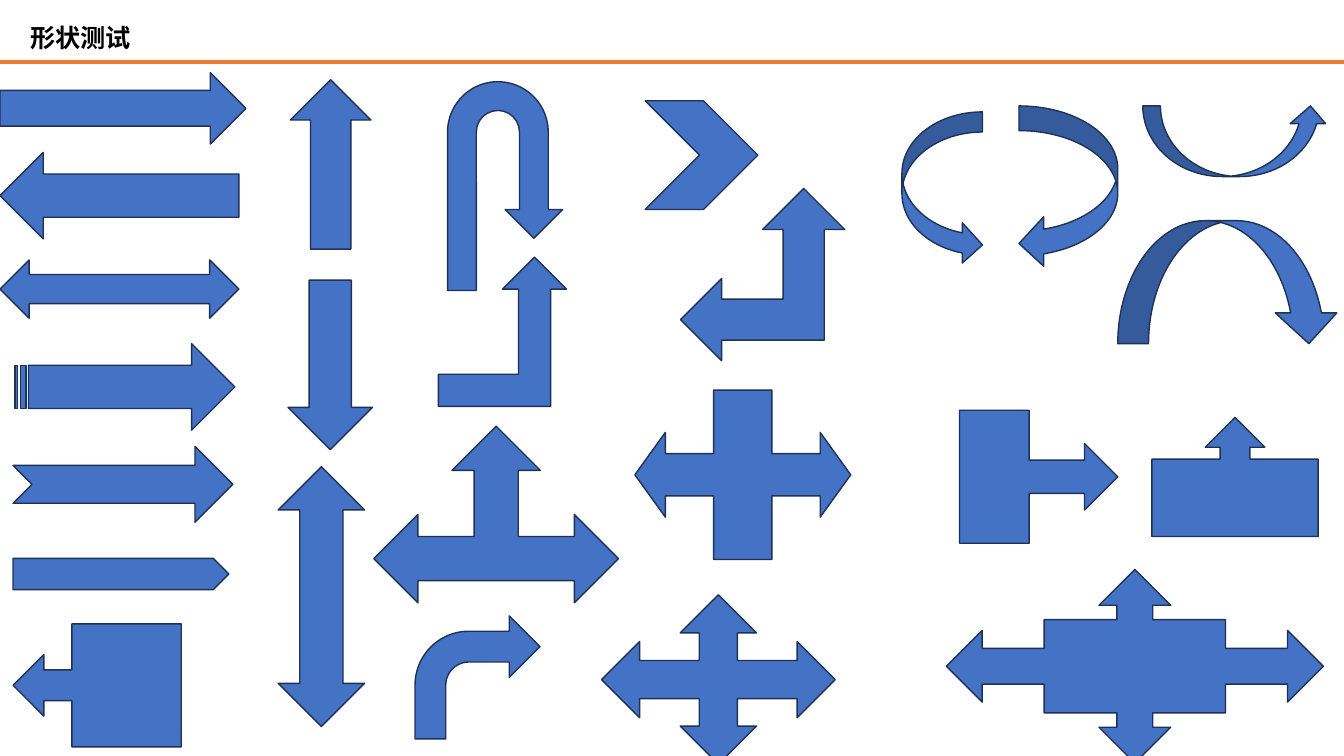
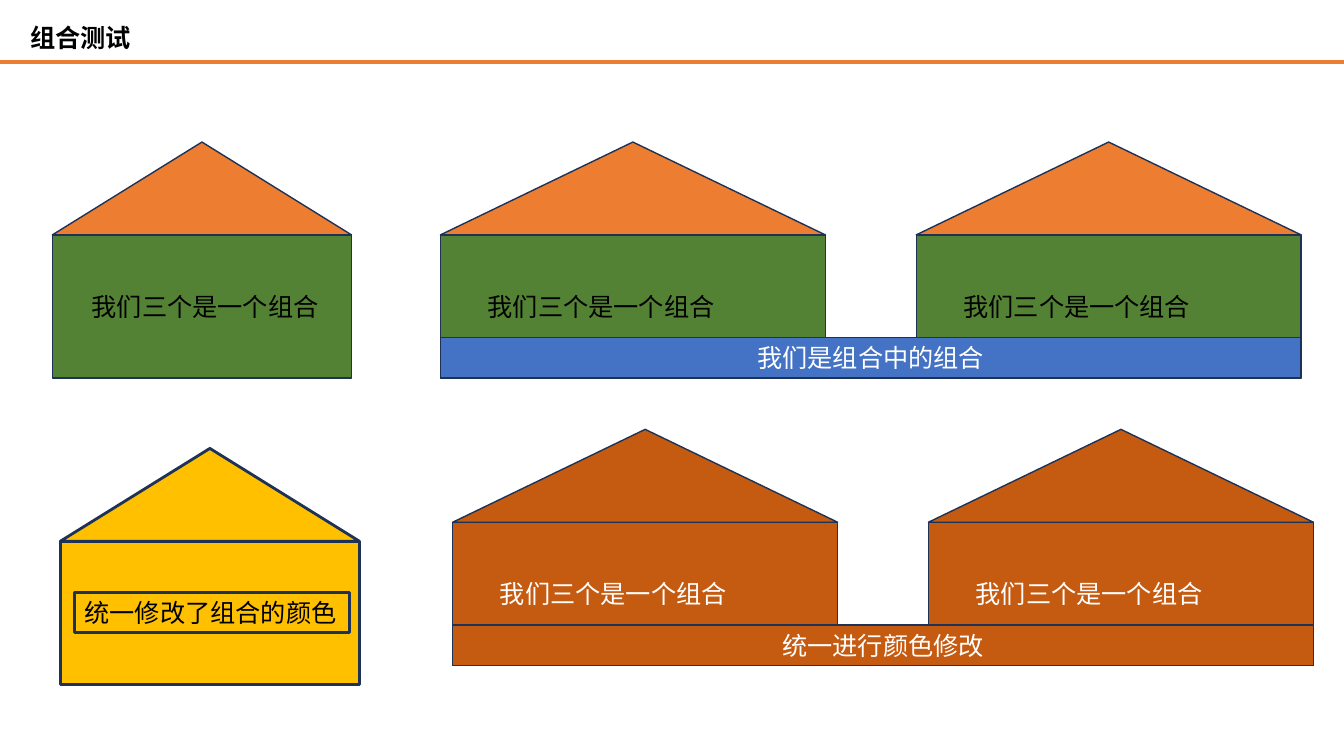
from lxml import etree
from pptx import Presentation
from pptx.dml.color import RGBColor
from pptx.enum.shapes import MSO_CONNECTOR, MSO_SHAPE as Shape
from pptx.enum.text import MSO_ANCHOR, MSO_AUTO_SIZE, PP_ALIGN
from pptx.oxml.ns import qn
from pptx.util import Cm, Pt

FONT = "Noto Sans CJK SC"
BLUE, NAVY, ORANGE = "4472C4", "1E3256", "ED7D31"
GREEN, GOLD, RUST = "548235", "FFC000", "C55A11"
BLACK, WHITE = "000000", "FFFFFF"
SLIDE_W, SLIDE_H = 33.87, 19.05

# House proportions
ROOF_H, WALL_H, LABEL_DROP, BAR_H = 2.34, 3.61, 3.63, 1.02
SMALL_W, LARGE_W, HOUSE_PITCH = 7.54, 9.7, 11.99

# Preset, left, top, width, height in centimetres
ARROWS = [
    (Shape.RIGHT_ARROW, 0, 1.83, 6.2, 1.8),
    (Shape.LEFT_ARROW, 0, 3.84, 6.02, 2.18),
    (Shape.UP_ARROW, 7.32, 2.01, 2.03, 4.27),
    (Shape.DOWN_ARROW, 7.26, 7.06, 2.13, 4.27),
    (Shape.LEFT_RIGHT_ARROW, 0, 6.55, 6.02, 1.47),
    (Shape.UP_DOWN_ARROW, 7.01, 11.76, 2.18, 6.55),
    (Shape.QUAD_ARROW, 15.16, 14.99, 5.89, 4.27),
    (Shape.LEFT_RIGHT_UP_ARROW, 9.42, 10.74, 6.17, 4.45),
    (Shape.BENT_ARROW, 10.46, 15.52, 3.15, 3.1),
    (Shape.U_TURN_ARROW, 11.28, 2.06, 2.9, 5.26),
    (Shape.LEFT_UP_ARROW, 17.15, 4.75, 4.14, 4.34),
    (Shape.BENT_UP_ARROW, 11.05, 6.48, 3.23, 3.76),
    (Shape.CURVED_RIGHT_ARROW, 22.73, 2.82, 2.03, 3.86),
    (Shape.CURVED_LEFT_ARROW, 25.68, 2.67, 2.49, 4.09),
    (Shape.CURVED_UP_ARROW, 28.8, 2.67, 4.67, 1.78),
    (Shape.CURVED_DOWN_ARROW, 28.17, 5.56, 5.59, 3.1),
    (Shape.STRIPED_RIGHT_ARROW, 0.38, 8.66, 5.54, 2.18),
    (Shape.NOTCHED_RIGHT_ARROW, 0.33, 11.25, 5.54, 1.91),
    (Shape.PENTAGON, 0.33, 14.07, 5.44, 0.79),
    (Shape.CHEVRON, 16.26, 2.54, 2.84, 2.74),
    (Shape.RIGHT_ARROW_CALLOUT, 24.18, 10.34, 3.99, 3.35),
    (Shape.LEFT_RIGHT_ARROW_CALLOUT, 16, 9.83, 5.44, 4.27),
    (Shape.QUAD_ARROW_CALLOUT, 23.85, 14.35, 9.5, 4.88),
    (Shape.LEFT_ARROW_CALLOUT, 0.33, 15.72, 4.24, 3.1),
    (Shape.UP_ARROW_CALLOUT, 29.03, 10.52, 4.19, 3),
]
ADJUSTMENTS = {
    Shape.RIGHT_ARROW_CALLOUT: (0.25, 0.25, 0.25, 0.44),
    Shape.LEFT_RIGHT_ARROW_CALLOUT: (0.25, 0.25, 0.18, 0.27),
}


def paint(target, color):
    """Give a fill or a font colour its hex value."""
    if hasattr(target, "solid"):
        target.solid()
        target = target.fore_color
    target.rgb = RGBColor.from_string(color)


def outline(shape, width):
    paint(shape.line.color, NAVY)
    shape.line.width = Pt(width)


def write(shape, text, color, align=PP_ALIGN.LEFT, bold=False):
    paragraph = shape.text_frame.paragraphs[0]
    paragraph.alignment = align
    run = paragraph.add_run()
    run.text = text
    run.font.name, run.font.size, run.font.bold = FONT, Pt(18), bold
    paint(run.font.color, color)
    east_asian = etree.SubElement(run.font._element, qn("a:ea"))
    east_asian.set("typeface", FONT)


def hug_text(shape):
    frame = shape.text_frame
    frame.word_wrap = False
    frame.auto_size = MSO_AUTO_SIZE.SHAPE_TO_FIT_TEXT
    frame.vertical_anchor = MSO_ANCHOR.TOP


def add_block(shapes, preset, left, top, width, height, fill, line_width=1):
    block = shapes.add_shape(preset, Cm(left), Cm(top), Cm(width), Cm(height))
    block.shadow.inherit = False
    paint(block.fill, fill)
    outline(block, line_width)
    return block


def add_titled_slide(deck, heading):
    """Slide with the shared title and the orange rule below it."""
    slide = deck.slides.add_slide(deck.slide_layouts[5])
    title = slide.shapes.title
    title.left, title.top, title.width, title.height = Cm(0.51), Cm(0.43), Cm(3.07), Cm(1.02)
    hug_text(title)
    write(title, heading, BLACK, bold=True)

    rule = slide.shapes.add_connector(
        MSO_CONNECTOR.STRAIGHT, 0, Cm(1.57), Cm(SLIDE_W), Cm(1.57))
    paint(rule.line.color, ORANGE)
    rule.line.width = Pt(3)
    etree.SubElement(rule._element.spPr, qn("a:effectLst"))
    return slide


def add_house(shapes, left, top, width, roof, wall, text, text_color,
              label_inset, label_width, label_fill=None, line_width=1, label_line=None):
    """Grouped wall, roof and label, placed from the top left corner."""
    house = shapes.add_group_shape().shapes
    add_block(house, Shape.RECTANGLE, left, top + ROOF_H, width, WALL_H, wall, line_width)
    add_block(house, Shape.ISOSCELES_TRIANGLE, left, top, width, ROOF_H, roof, line_width)
    label = house.add_textbox(Cm(left + label_inset), Cm(top + LABEL_DROP),
                              Cm(label_width), Cm(BAR_H))
    hug_text(label)
    if label_fill:
        paint(label.fill, label_fill)
    if label_line:
        outline(label, label_line)
    write(label, text, text_color)


def add_terrace(shapes, left, top, roof, wall, base, text_color, base_text, label_fill=None):
    """Group of two house groups on one common base."""
    terrace = shapes.add_group_shape().shapes
    for index in range(2):
        add_house(terrace, left + index * HOUSE_PITCH, top, LARGE_W, roof, wall,
                  "我们三个是一个组合", text_color, 0.94, 8.31, label_fill)
    foundation = add_block(terrace, Shape.RECTANGLE, left, top + ROOF_H + WALL_H - BAR_H,
                           HOUSE_PITCH + LARGE_W, BAR_H, base)
    foundation.text_frame.vertical_anchor = MSO_ANCHOR.MIDDLE
    write(foundation, base_text, WHITE, PP_ALIGN.CENTER)


def build_arrow_slide(deck):
    shapes = add_titled_slide(deck, "形状测试").shapes
    for preset, *box in ARROWS:
        arrow = add_block(shapes, preset, *box, BLUE)
        for index, value in enumerate(ADJUSTMENTS.get(preset, ())):
            arrow.adjustments[index] = value


def build_group_slide(deck):
    shapes = add_titled_slide(deck, "组合测试").shapes
    # Upper row: mixed colours
    add_house(shapes, 1.32, 3.58, SMALL_W, ORANGE, GREEN,
              "我们三个是一个组合", BLACK, 0.74, 6.48)
    add_terrace(shapes, 11.1, 3.58, ORANGE, GREEN, BLUE, BLACK, "我们是组合中的组合")
    # Lower row: one colour for each group
    add_house(shapes, 1.52, 11.3, SMALL_W, GOLD, GOLD, "统一修改了组合的颜色", BLACK,
              0.36, 6.93, label_fill=GOLD, line_width=2, label_line=2)
    add_terrace(shapes, 11.41, 10.82, RUST, RUST, RUST, WHITE, "统一进行颜色修改", RUST)


def main():
    deck = Presentation()
    deck.slide_width, deck.slide_height = Cm(SLIDE_W), Cm(SLIDE_H)
    build_arrow_slide(deck)
    build_group_slide(deck)
    deck.save("out.pptx")


if __name__ == "__main__":
    main()
